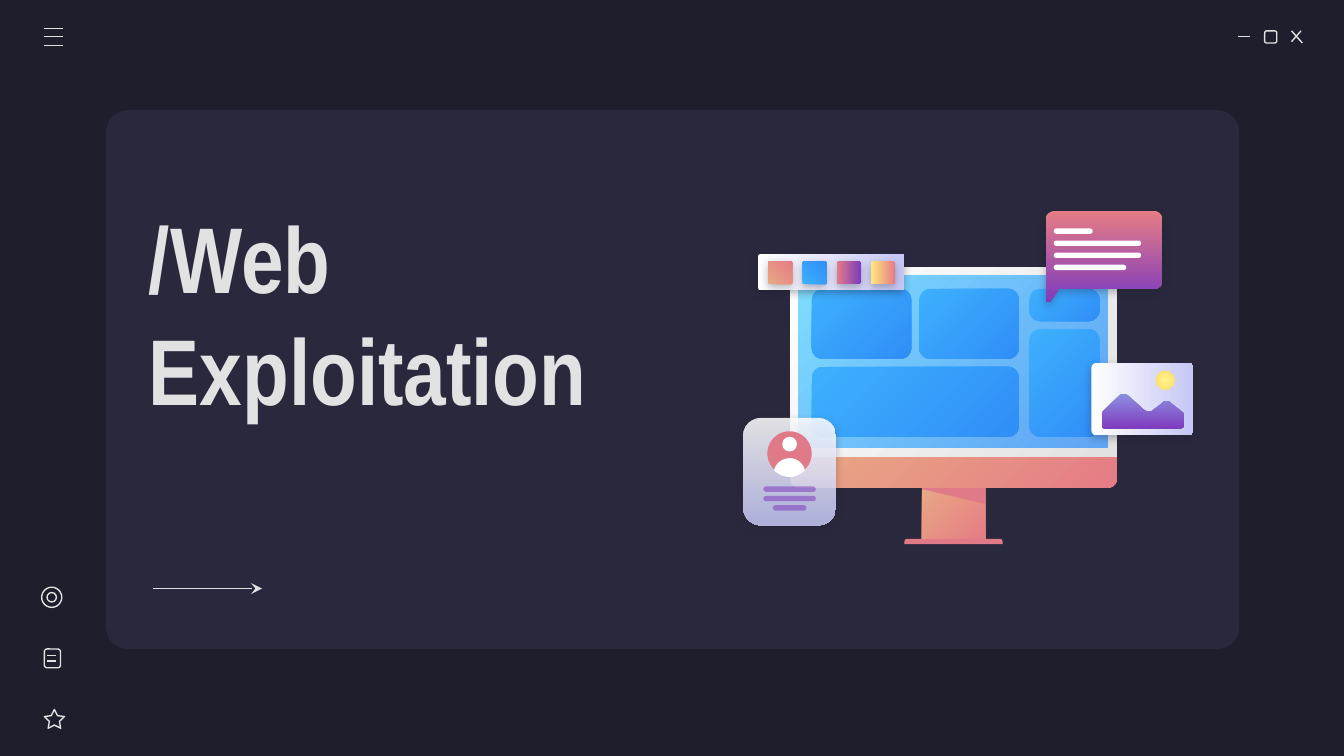
"""Build the Web Exploitation title slide."""
from dataclasses import dataclass

from lxml.etree import SubElement
from pptx import Presentation
from pptx.dml.color import RGBColor
from pptx.enum.shapes import MSO_CONNECTOR, MSO_SHAPE
from pptx.enum.text import MSO_ANCHOR, MSO_AUTO_SIZE, PP_ALIGN
from pptx.oxml.ns import qn
from pptx.util import Cm, Length, Pt

RECT, ROUND = MSO_SHAPE.RECTANGLE, MSO_SHAPE.ROUNDED_RECTANGLE
OVAL, STAR = MSO_SHAPE.OVAL, MSO_SHAPE.STAR_5_POINT
TOPS = MSO_SHAPE.ROUND_2_SAME_RECTANGLE
WIRE = MSO_CONNECTOR.STRAIGHT
LEFT, MIDDLE, FIXED = PP_ALIGN.LEFT, MSO_ANCHOR.MIDDLE, MSO_AUTO_SIZE.NONE

HEX = {
    "night": "1E1E2C", "panel": "29283D", "light": "E2E2E2", "white": "FFFFFF",
    "rose": "E07A88", "coral": "E57C85", "peach": "E9A984", "violet": "7E3BBE",
    "lilac": "C5C7F4", "iris": "8D90E1", "ice": "80DFFF", "azure": "318FFA",
    "sky": "3DB0FD", "blue": "308EF7", "lemon": "FFF68E", "gold": "FFD966",
    "corn": "FFEA7D",
}


@dataclass
class Paint:
    """One or two colours with their opacity and direction."""
    tones: tuple
    angle: int = 45
    clear: tuple = (100, 100)
    round: bool = False


@dataclass
class Part:
    """A preset shape; without paint it is an outline."""
    box: tuple
    paint: Paint | None = None
    form: int = RECT
    adj: tuple = ()
    turn: int = 0
    shade: bool = False


@dataclass
class Path:
    """A closed outline of points and Bezier curves."""
    steps: list
    paint: Paint
    shade: bool = False


@dataclass
class Stroke:
    """A thin line, with an arrowhead if asked."""
    start: tuple
    end: tuple
    arrow: bool = False


WHITE, ROSE = Paint(("white",)), Paint(("rose",))
WARM, COOL = Paint(("peach", "coral")), Paint(("sky", "blue"))
DUSK, PAPER = Paint(("coral", "violet"), 90), Paint(("white", "lilac"), 90)
GLASS = Paint(("white", "lilac"), 90, (86, 86))
HAZE = Paint(("violet",), clear=(54,))
SUN = Paint(("lemon", "gold"), round=True)

BUBBLE = [
    (7.85, 1.57), (7.81, 1.57, 7.78, 1.6, 7.78, 1.64), (7.78, 2.24),
    (7.78, 2.25, 7.79, 2.25, 7.8, 2.25), (7.81, 2.25), (7.88, 2.15), (8.59, 2.15),
    (8.62, 2.15, 8.65, 2.12, 8.65, 2.09), (8.65, 1.64),
    (8.65, 1.6, 8.62, 1.57, 8.59, 1.57),
]
BUST = [
    (5.88, 3.41), (5.82, 3.41, 5.77, 3.45, 5.76, 3.5),
    (5.79, 3.53, 5.83, 3.55, 5.88, 3.55), (5.92, 3.55, 5.96, 3.53, 5.99, 3.5),
    (5.98, 3.45, 5.93, 3.41, 5.88, 3.41),
]
HILLS = [
    (8.36, 2.93), (8.35, 2.93, 8.34, 2.93, 8.33, 2.94), (8.21, 3.06),
    (8.2, 3.07, 8.2, 3.07, 8.2, 3.08), (8.2, 3.16),
    (8.2, 3.18, 8.21, 3.19, 8.23, 3.19), (8.77, 3.19),
    (8.79, 3.19, 8.81, 3.18, 8.81, 3.16), (8.81, 3.09),
    (8.81, 3.08, 8.8, 3.07, 8.8, 3.07), (8.7, 2.99),
    (8.69, 2.99, 8.68, 2.99, 8.67, 2.99), (8.66, 2.99, 8.65, 2.99, 8.65, 3),
    (8.57, 3.06), (8.56, 3.06, 8.55, 3.06, 8.54, 3.06),
    (8.53, 3.06, 8.52, 3.06, 8.51, 3.05), (8.39, 2.94),
    (8.38, 2.93, 8.37, 2.93, 8.36, 2.93),
]
TILES = [(6.04, 2.15, 0.74, 0.52), (6.04, 2.73, 1.54, 0.52), (6.84, 2.15, 0.74, 0.52),
         (7.66, 2.15, 0.52, 0.24), (7.66, 2.45, 0.52, 0.8)]
CHIPS = [WARM, COOL, DUSK, Paint(("corn", "coral"), 90)]

FRAME = [
    Part((0.79, 0.82, 8.43, 4.01), Paint(("panel",)), ROUND, (0.04,)),
    Stroke((9.21, 0.27), (9.3, 0.27)),
    Part((9.41, 0.23, 0.09, 0.09), None, ROUND, (0.17,)),
    Stroke((9.61, 0.23), (9.69, 0.32)),
    Stroke((9.68, 0.23), (9.61, 0.31)),
]
SCENE = [
    Part((6.86, 3.61, 0.47, 0.43), WARM),
    Part((6.73, 4.01, 0.73, 0.04), ROSE, TOPS, (0.5, 0)),
    Path([(6.86, 3.61), (6.86, 3.64), (7.33, 3.75), (7.33, 3.61)], ROSE),
    Part((5.88, 3.39, 2.43, 0.24), WARM, TOPS, (0, 0.26)),
    Part((5.88, 1.99, 2.43, 1.41), Paint(("white", "light")), TOPS, (0.04, 0)),
    Part((5.94, 2.05, 2.3, 1.28), Paint(("ice", "azure"), clear=(100, 72))),
    *[Part(box, COOL, ROUND, (0.08 / min(box[2:]),)) for box in TILES],
    Path(BUBBLE, DUSK, True),
    *[Part((7.84, 1.7 + 0.09 * row, wide, 0.04), WHITE, ROUND, (0.5,))
      for row, wide in enumerate((0.29, 0.65, 0.65, 0.54))],
    *[Stroke((0.33, y), (0.47, y)) for y in (0.21, 0.27, 0.34)],
    Part((5.53, 3.11, 0.69, 0.8), GLASS, ROUND, (0.19,), shade=True),
    Part((5.71, 3.21, 0.33, 0.33), ROSE, OVAL),
    Part((5.82, 3.25, 0.11, 0.11), WHITE, OVAL),
    Path(BUST, WHITE),
    *[Part((5.875 - wide / 2, 3.62 + 0.07 * row, wide, 0.04), HAZE, ROUND, (0.5,))
      for row, wide in enumerate((0.39, 0.39, 0.25))],
    Part((8.23, 2.59, 0.54, 0.76), PAPER, ROUND, (0.07,), 270, True),
    Path(HILLS, Paint(("iris", "violet"), 90)),
    Part((8.6, 2.76, 0.14, 0.14), SUN, OVAL),
    Part((6.05, 1.48, 0.27, 1.09), PAPER, ROUND, (0.07,), 270, True),
    *[Part((5.72 + 0.255 * col, 1.94, 0.17, 0.18), chip, ROUND, (0.07,), 270, True)
      for col, chip in enumerate(CHIPS)],
    Part((0.33, 5.28, 0.15, 0.14), None, STAR, (0.25,)),
    Part((0.33, 4.83, 0.12, 0.14), None, ROUND, (0.17,)),
    *[Stroke((0.35, y), (0.42, y)) for y in (4.88, 4.92)],
    Part((0.31, 4.37, 0.15, 0.15), None, OVAL),
    Part((0.35, 4.41, 0.07, 0.07), None, OVAL),
    Stroke((1.14, 4.38), (1.95, 4.38), True),
]


def size(*inches: float) -> list[Length]:
    """Turn inches into lengths."""
    return [Cm(inch * 2.54) for inch in inches]


def tint(name: str) -> RGBColor:
    """Look up a colour."""
    return RGBColor.from_string(HEX[name])


def ink(line) -> None:
    """Format a thin light line."""
    line.color.rgb = tint("light")
    line.width = Pt(0.75)


def coat(shape, paint: Paint | None, shade: bool) -> None:
    """Set fill, line and shadow of a shape."""
    fill, props = shape.fill, shape._element.spPr
    if paint is None:
        fill.background()
    elif len(paint.tones) == 1:
        fill.solid()
        fill.fore_color.rgb = tint(paint.tones[0])
    else:
        fill.gradient()
        fill.gradient_angle = 360 - paint.angle
        for stop, place, tone in zip(fill.gradient_stops, (0, 1), paint.tones):
            stop.position, stop.color.rgb = place, tint(tone)
    if paint and paint.round:
        grad = props.find(qn("a:gradFill"))
        grad.remove(grad.find(qn("a:lin")))
        ring = SubElement(grad, qn("a:path"), {"path": "circle"})
        SubElement(ring, qn("a:fillToRect"), dict.fromkeys("ltrb", "50000"))
    for node, part in zip(list(props.iter(qn("a:srgbClr"))), paint.clear if paint else ()):
        if part < 100:
            SubElement(node, qn("a:alpha"), {"val": str(part * 1000)})
    if paint:
        shape.line.fill.background()
    else:
        ink(shape.line)
    shape.shadow.inherit = False
    if shade:
        cast = SubElement(props.find(qn("a:effectLst")), qn("a:outerShdw"),
                          {"blurRad": "57150", "dist": "19050", "dir": "5400000"})
        tone = SubElement(cast, qn("a:srgbClr"), {"val": HEX["night"]})
        SubElement(tone, qn("a:alpha"), {"val": "30000"})


def place(shapes, part: Part) -> None:
    """Draw a preset shape."""
    shape = shapes.add_shape(part.form, *size(*part.box))
    for slot, share in enumerate(part.adj):
        shape.adjustments[slot] = share
    shape.rotation = part.turn
    coat(shape, part.paint, part.shade)


def trace(shapes, item: Path) -> None:
    """Draw a closed outline, sampling its curves."""
    dots = [item.steps[0]]
    for step in item.steps[1:]:
        if len(step) == 2:
            dots.append(step)
            continue
        knots = [dots[-1], step[:2], step[2:4], step[4:]]
        for t in (n / 8 for n in range(1, 9)):
            load = ((1 - t) ** 3, 3 * t * (1 - t) ** 2, 3 * t * t * (1 - t), t ** 3)
            dots.append(tuple(sum(w * k[axis] for w, k in zip(load, knots))
                              for axis in (0, 1)))
    pen = shapes.build_freeform(*size(*dots[0]))
    pen.add_line_segments([size(*dot) for dot in dots[1:]], close=True)
    coat(pen.convert_to_shape(), item.paint, item.shade)


def rule(shapes, item: Stroke) -> None:
    """Draw a line."""
    wire = shapes.add_connector(WIRE, *size(*item.start, *item.end))
    ink(wire.line)
    props = wire._element.spPr
    if item.arrow:
        SubElement(props.find(qn("a:ln")), qn("a:tailEnd"), {"type": "stealth"})
    SubElement(props, qn("a:effectLst"))


def adorn(thing, looks: dict) -> None:
    """Set attributes from format values."""
    for name, value in looks.items():
        setattr(thing, name, value)


def head(shapes) -> None:
    """Write the title above the panel."""
    title = shapes.title
    shapes._spTree.append(title._element)
    adorn(title, dict(zip(("left", "top", "width", "height"), size(1.01, 1.44, 4.47, 1.76))))
    frame = title.text_frame
    frame.text = "/Web Exploitation"
    pad = dict.fromkeys(("margin_left", "margin_top", "margin_right", "margin_bottom"), Cm(0.25))
    adorn(frame, {"word_wrap": True, "auto_size": FIXED, "vertical_anchor": MIDDLE, **pad})
    text = frame.paragraphs[0]
    text.alignment = LEFT
    font = text.runs[0].font
    adorn(font, {"name": "Arial Narrow", "size": Pt(50), "bold": True})
    font.color.rgb = tint("light")


def main() -> None:
    """Build and save the slide."""
    deck = Presentation()
    deck.slide_width, deck.slide_height = Cm(25.4), Cm(14.29)
    slide = deck.slides.add_slide(deck.slide_layouts[5])
    slide.background.fill.solid()
    slide.background.fill.fore_color.rgb = tint("night")
    tools = {Part: place, Path: trace, Stroke: rule}
    for item in FRAME:
        tools[type(item)](slide.shapes, item)
    head(slide.shapes)
    for item in SCENE:
        tools[type(item)](slide.shapes, item)
    deck.save("out.pptx")


if __name__ == "__main__":
    main()
